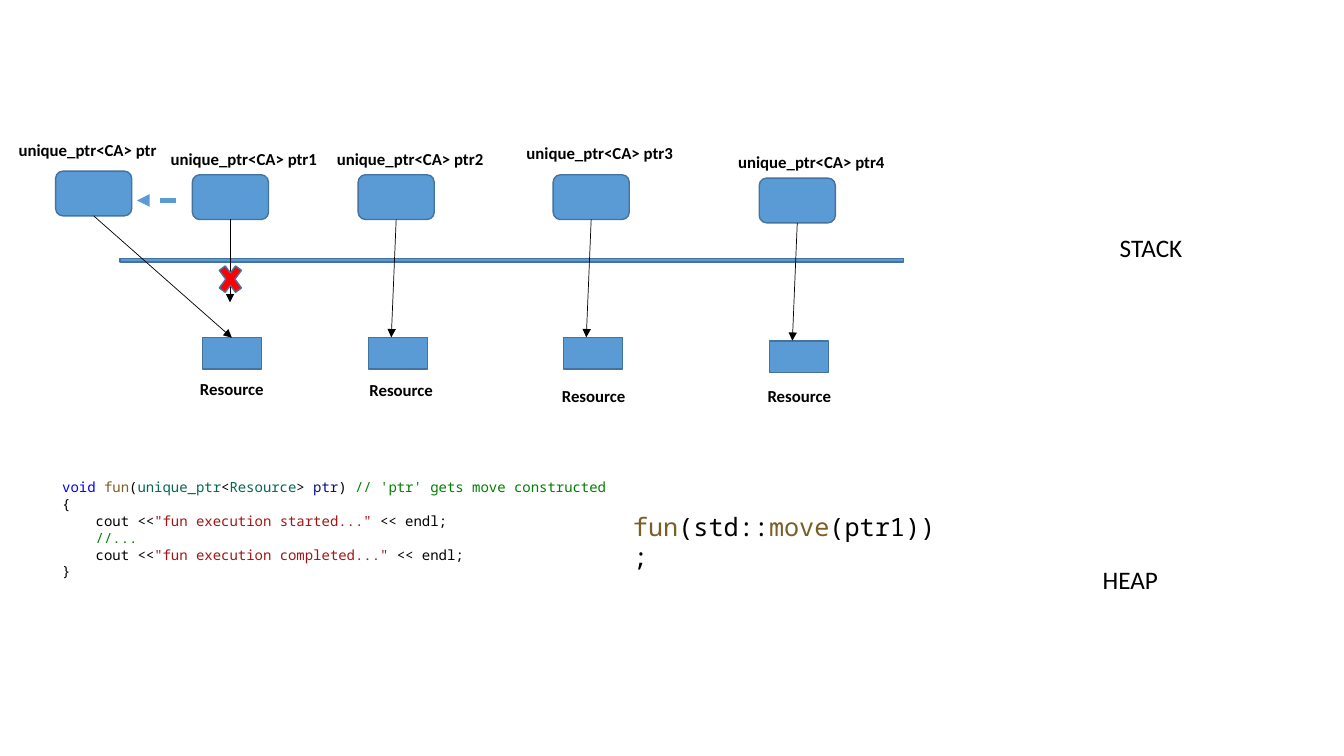
"""Build the slide on moving a unique_ptr from the stack into a function."""
from lxml import etree
from pptx import Presentation
from pptx.dml.color import RGBColor
from pptx.enum import dml, shapes, text
from pptx.oxml import ns
from pptx.util import Pt

BLACK = RGBColor(0x00, 0x00, 0x00)
BLUE = RGBColor(0x5B, 0x9B, 0xD5)
OUTLINE = RGBColor(0x43, 0x73, 0x9E)
RED = RGBColor(0xFF, 0x00, 0x00)
KEYWORD = RGBColor(0x00, 0x00, 0xFF)
FUNCTION = RGBColor(0x79, 0x5E, 0x26)
TYPE = RGBColor(0x06, 0x65, 0x55)
PARAMETER = RGBColor(0x00, 0x10, 0x80)
COMMENT = RGBColor(0x00, 0x80, 0x00)
STRING = RGBColor(0xA3, 0x15, 0x15)

deck = Presentation()
deck.slide_width, deck.slide_height = Pt(960), Pt(540)
page = deck.slides.add_slide(deck.slide_layouts[6])


def write(lines, left, top, width, height=21.6, size=12, font="Calibri",
          bold=False, align=text.PP_ALIGN.LEFT):
    box = page.shapes.add_textbox(Pt(left), Pt(top), Pt(width), Pt(height))
    frame = box.text_frame
    frame.word_wrap = True
    for number, line in enumerate(lines):
        para = frame.paragraphs[0] if number == 0 else frame.add_paragraph()
        para.alignment = align
        for words, colour in line:
            span = para.add_run()
            span.text = words
            span.font.size, span.font.name, span.font.bold = Pt(size), font, bold
            span.font.color.rgb = colour


def draw(kind, left, top, width, height, fill=BLUE):
    shape = page.shapes.add_shape(kind, Pt(left), Pt(top), Pt(width), Pt(height))
    shape.shadow.inherit = False
    shape.fill.solid()
    shape.fill.fore_color.rgb = fill
    shape.line.color.rgb = OUTLINE
    shape.line.width = Pt(1)


draw(shapes.MSO_SHAPE.MATH_MINUS, -15.1, 180.2, 761.5, 11.5)
write([[("STACK", BLACK)]], 792.7, 162.7, 80.6, 28.8, size=18)
write([[("HEAP", BLACK)]], 780.5, 399.6, 80.6, 28.8, size=18)

pointers = [
    ("ptr", 39.7, 122.2, 0.7, 96.5),
    ("ptr1", 137.4, 124.8, 112.3, 103),
    ("ptr2", 255.8, 124.8, 231.1, 103),
    ("ptr3", 395.1, 124.8, 366.5, 98.6),
    ("ptr4", 542.3, 127.2, 517.7, 105.1),
]
for name, left, top, label_left, label_top in pointers:
    draw(shapes.MSO_SHAPE.ROUNDED_RECTANGLE, left, top, 54.4, 32)
    write([[(f"unique_ptr<CA> {name}", BLACK)]], label_left, label_top, 123.8,
          bold=True, align=text.PP_ALIGN.CENTER)

resource_labels = [(126, 267.1), (247, 267.8), (384.5, 272.2), (531.4, 272.2)]
for (name, left, top, *_), (label_left, label_top) in zip(pointers[1:], resource_labels):
    draw(shapes.MSO_SHAPE.RECTANGLE, left + 7.4, top + 116.4, 42, 22.3)
    write([[("Resource", BLACK)]], label_left, label_top, 79.2,
          bold=True, align=text.PP_ALIGN.CENTER)

arrows = [
    (164.3, 156.8, 164.3, 216, BLACK, 0.5),
    (66.9, 154.2, 165.6, 241.2, BLACK, 0.5),
    (126, 143.2, 97.9, 143.2, BLUE, 3),
]
for name, left, top, *_ in pointers[2:]:
    arrows.append((left + 27.2, top + 32, left + 23.7, top + 116.2, BLACK, 0.5))
for x1, y1, x2, y2, colour, weight in arrows:
    arrow = page.shapes.add_connector(
        shapes.MSO_CONNECTOR.STRAIGHT, Pt(x1), Pt(y1), Pt(x2), Pt(y2))
    arrow.line.color.rgb = colour
    arrow.line.width = Pt(weight)
    if colour == BLUE:
        arrow.line.dash_style = dml.MSO_LINE.DASH
    etree.SubElement(arrow.line._get_or_add_ln(), ns.qn("a:tailEnd"), type="triangle")
    etree.SubElement(arrow._element.spPr, ns.qn("a:effectLst"))

draw(shapes.MSO_SHAPE.MATH_MULTIPLY, 153.4, 184.3, 22.3, 30.2, fill=RED)

definition = [
    [("void ", KEYWORD), ("fun", FUNCTION), ("(", BLACK), ("unique_ptr", TYPE),
     ("<", BLACK), ("Resource", TYPE), ("> ", BLACK), ("ptr", PARAMETER),
     (")", BLACK), (" // 'ptr' gets move constructed", COMMENT)],
    [("{", BLACK)],
    [("    cout <<", BLACK), ('"fun execution started..."', STRING), (" << endl;", BLACK)],
    [("    //...", COMMENT)],
    [("    cout <<", BLACK), ('"fun execution completed..."', STRING), (" << endl;", BLACK)],
    [("}", BLACK)],
]
write(definition, 37.4, 338.4, 480.2, 79.9, size=10, font="Noto Sans Mono")
call = [("fun", FUNCTION), ("(std::", BLACK), ("move", FUNCTION), ("(ptr1));", BLACK)]
write([call], 445, 361.4, 234, 28.8, size=18, font="Noto Sans Mono")

deck.save("out.pptx")
